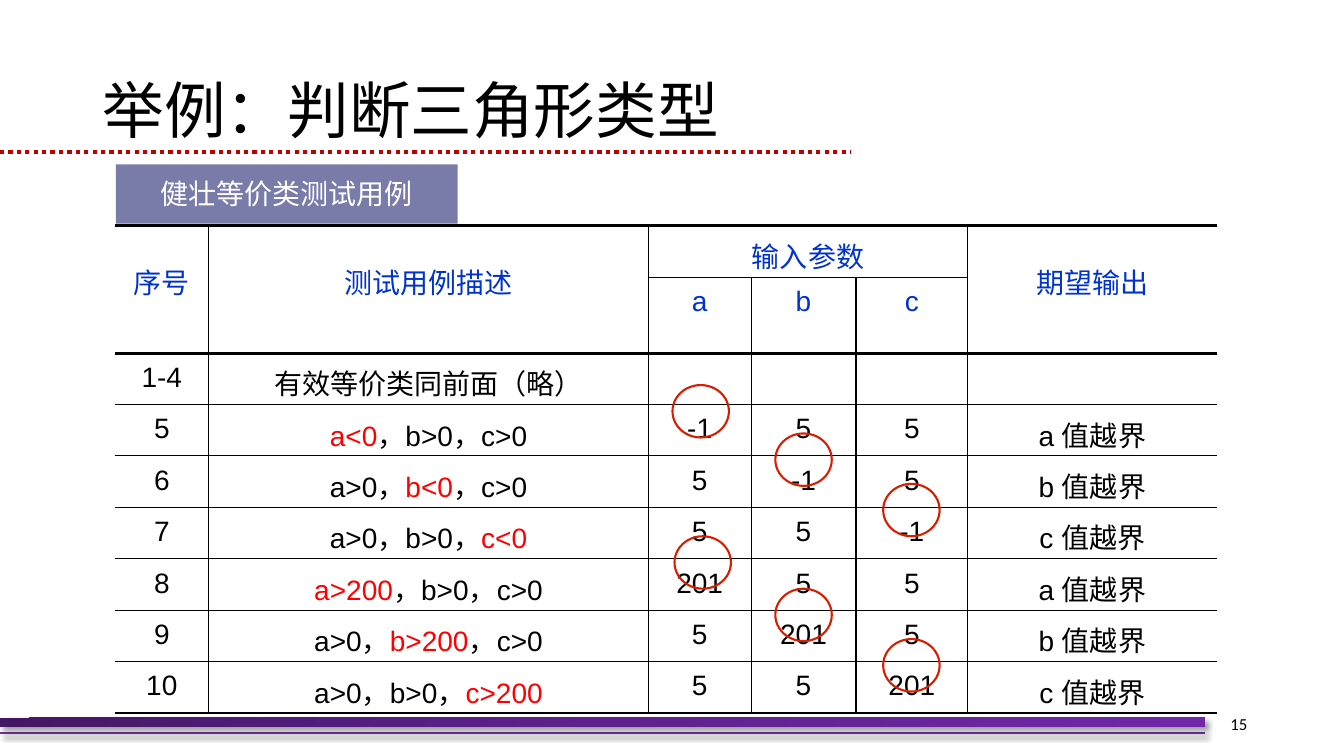
from copy import deepcopy

from lxml.etree import SubElement
from pptx import Presentation
from pptx.dml.color import RGBColor
from pptx.enum.dml import MSO_LINE
from pptx.enum.shapes import MSO_CONNECTOR, MSO_SHAPE
from pptx.enum.text import MSO_ANCHOR, PP_ALIGN
from pptx.oxml.ns import qn
from pptx.util import Inches, Pt

COLORS = {
    "ink": "000000", "white": "FFFFFF", "header": "0033CC", "invalid": "FF0000",
    "ring": "D81E00", "label": "797BA9", "dots": "C00000", "footer": "7030A0",
}
BAND_STOPS = [(0, "431764"), (0.5, "5F218E"), (1, "7128A8")]
LATIN, CJK = "Arial", "Noto Sans CJK SC"
NO_STYLE = "{2D5ABB26-0587-4C30-8999-92F81FD0307C}"

# Test cases: number, conditions on a, b, c, input values
CASES = [
    ("5", ("a<0", "b>0", "c>0"), ("-1", "5", "5")),
    ("6", ("a>0", "b<0", "c>0"), ("5", "-1", "5")),
    ("7", ("a>0", "b>0", "c<0"), ("5", "5", "-1")),
    ("8", ("a>200", "b>0", "c>0"), ("201", "5", "5")),
    ("9", ("a>0", "b>200", "c>0"), ("5", "201", "5")),
    ("10", ("a>0", "b>0", "c>200"), ("5", "5", "201")),
]
COLUMNS = [0.93, 4.36, 1.02, 1.04, 1.11, 2.47]
ROWS = [0.51, 0.69] + [0.51] * 7
RULES = [2.25, 1, 2.25] + [0.75] * 6 + [2.25]
RINGS = [(6.67, 3.82), (7.69, 4.3), (8.76, 4.8), (6.69, 5.32), (7.69, 5.84), (8.76, 6.34)]


def rgb(name):
    return RGBColor.from_string(COLORS[name])


class SlideBuilder:
    def __init__(self, slide):
        self.slide = slide

    def add_runs(self, frame, runs, size=20, align=PP_ALIGN.CENTER):
        """Each run is (text, font, color)."""
        paragraph = frame.paragraphs[0]
        paragraph.alignment = align
        for text, font, color in runs:
            run = paragraph.add_run()
            run.text = text
            run.font.size = Pt(size)
            run.font.name = font
            run.font.color.rgb = rgb(color)
            if font == CJK:
                SubElement(run.font._element, qn("a:ea"), typeface=font)
        return paragraph

    def shadow(self, effects):
        outer = SubElement(effects, qn("a:outerShdw"), blurRad=str(Pt(4)),
                           dist=str(Pt(3)), dir="2700000", algn="tl", rotWithShape="0")
        black = SubElement(outer, qn("a:srgbClr"), val=COLORS["ink"])
        SubElement(black, qn("a:alpha"), val="40000")

    def line(self, y, end, color, width, dash=None, shadow=False):
        rule = self.slide.shapes.add_connector(
            MSO_CONNECTOR.STRAIGHT, 0, Inches(y), Inches(end), Inches(y))
        rule.line.color.rgb = rgb(color)
        rule.line.width = Pt(width)
        if dash:
            rule.line.dash_style = dash
        effects = SubElement(rule._element.spPr, qn("a:effectLst"))
        if shadow:
            self.shadow(effects)

    def shape(self, kind, left, top, width, height, fill=None, outline=None):
        item = self.slide.shapes.add_shape(
            kind, Inches(left), Inches(top), Inches(width), Inches(height))
        item.shadow.inherit = False
        if fill:
            item.fill.solid()
            item.fill.fore_color.rgb = rgb(fill)
        else:
            item.fill.background()
        if outline:
            item.line.color.rgb = rgb(outline)
            item.line.width = Pt(1.5)
        else:
            item.line.fill.background()
        return item

    def gradient_band(self, left, top, width, height):
        band = self.shape(MSO_SHAPE.RECTANGLE, left, top, width, height)
        band.fill.gradient()
        band.fill.gradient_angle = 315
        stop_list = band._element.spPr.find(".//" + qn("a:gsLst"))
        stop_list.append(deepcopy(stop_list[0]))
        for stop, (position, color) in zip(band.fill.gradient_stops, BAND_STOPS):
            stop.position = position
            stop.color.rgb = RGBColor.from_string(color)
        self.shadow(band._element.spPr.find(qn("a:effectLst")))

    def text(self, left, top, width, height, run, size, align):
        frame = self.slide.shapes.add_textbox(
            Inches(left), Inches(top), Inches(width), Inches(height)).text_frame
        frame.word_wrap = True
        frame.vertical_anchor = MSO_ANCHOR.MIDDLE
        return self.add_runs(frame, [run], size, align)

    def label(self, left, top, width, height, text):
        box = self.shape(MSO_SHAPE.RECTANGLE, left, top, width, height, "label")
        frame = box.text_frame
        frame.margin_left = frame.margin_right = frame.margin_bottom = 0
        frame.margin_top = Inches(0.12)
        frame.vertical_anchor = MSO_ANCHOR.TOP
        self.add_runs(frame, [(text, CJK, "white")])

    def table(self, left, top, columns, rows):
        frame = self.slide.shapes.add_table(
            len(rows), len(columns), Inches(left), Inches(top),
            Inches(sum(columns)), Inches(sum(rows)))
        grid = frame.table
        grid.first_row = grid.horz_banding = False
        frame._element.find(".//" + qn("a:tableStyleId")).text = NO_STYLE
        for column, width in zip(grid.columns, columns):
            column.width = Inches(width)
        for row, height in zip(grid.rows, rows):
            row.height = Inches(height)
        return grid

    def cell(self, cell, edges, margin_top=0.09):
        cell.margin_left = cell.margin_right = cell.margin_bottom = 0
        cell.margin_top = Inches(margin_top)
        properties = cell._tc.get_or_add_tcPr()
        for side, width in zip("LRTB", edges):
            border = SubElement(properties, qn("a:ln" + side), w=str(Pt(width)))
            if width:
                ink = SubElement(border, qn("a:solidFill"))
                SubElement(ink, qn("a:srgbClr"), val=COLORS["ink"])
            else:
                SubElement(border, qn("a:noFill"))
        cell.fill.background()


def case_rows():
    """Runs of every body cell, row by row."""
    yield [[("1-4", LATIN, "ink")], [("有效等价类同前面（略）", CJK, "ink")], [], [], [], []]
    for number, conditions, values in CASES:
        description = []
        for condition in conditions:
            valid = condition.endswith(">0")
            if description:
                description.append(("，", CJK, "ink"))
            description.append((condition, LATIN, "ink" if valid else "invalid"))
            if not valid:
                culprit = condition[0]
        outcome = [(culprit + " ", LATIN, "ink"), ("值越界", CJK, "ink")]
        yield [[(number, LATIN, "ink")], description,
               *[[(value, LATIN, "ink")] for value in values], outcome]


def main():
    deck = Presentation()
    deck.slide_width, deck.slide_height = Inches(13.33), Inches(7.5)
    builder = SlideBuilder(deck.slides.add_slide(deck.slide_layouts[6]))

    # Footer band and title rule
    builder.line(7.27, 11.95, "footer", 1.5, shadow=True)
    builder.gradient_band(0, 7.12, 11.95, 0.09)
    builder.line(1.51, 8.44, "dots", 3, MSO_LINE.ROUND_DOT)

    builder.label(1.15, 1.63, 3.39, 0.59, "健壮等价类测试用例")

    # Table grid
    cases = builder.table(1.14, 2.24, COLUMNS, ROWS)
    last = len(COLUMNS) - 1
    tall_headers = {0: "序号", 1: "测试用例描述", last: "期望输出"}
    for r in range(len(ROWS)):
        for c in range(len(COLUMNS)):
            above, below = RULES[r], RULES[r + 1]
            tall = r < 2 and c in tall_headers
            if tall:
                above, below = (RULES[0] if r == 0 else 0), RULES[2]
            edges = (int(c > 0), int(c < last), above, below)
            builder.cell(cases.cell(r, c), edges, 0.35 if tall else 0.09)

    # Header
    for c, heading in tall_headers.items():
        cases.cell(0, c).merge(cases.cell(1, c))
        builder.add_runs(cases.cell(0, c).text_frame, [(heading, CJK, "header")])
    cases.cell(0, 2).merge(cases.cell(0, 4))
    builder.add_runs(cases.cell(0, 2).text_frame, [("输入参数", CJK, "header")])
    for c, parameter in enumerate("abc", 2):
        builder.add_runs(cases.cell(1, c).text_frame, [(parameter, LATIN, "header")])

    # Test cases
    for r, row in enumerate(case_rows(), 2):
        for c, runs in enumerate(row):
            builder.add_runs(cases.cell(r, c).text_frame, runs)

    # Rings around the invalid values
    for left, top in RINGS:
        builder.shape(MSO_SHAPE.OVAL, left, top, 0.56, 0.52, outline="ring")

    # Page number and title
    builder.text(11.38, 6.98, 1.09, 0.4, ("15", "Calibri", "ink"), 12, PP_ALIGN.RIGHT)
    title = builder.text(0.92, 0.4, 11.5, 1.45,
                         ("举例：判断三角形类型", CJK, "ink"), 44, PP_ALIGN.LEFT)
    title.line_spacing = 0.9

    deck.save("out.pptx")


if __name__ == "__main__":
    main()
